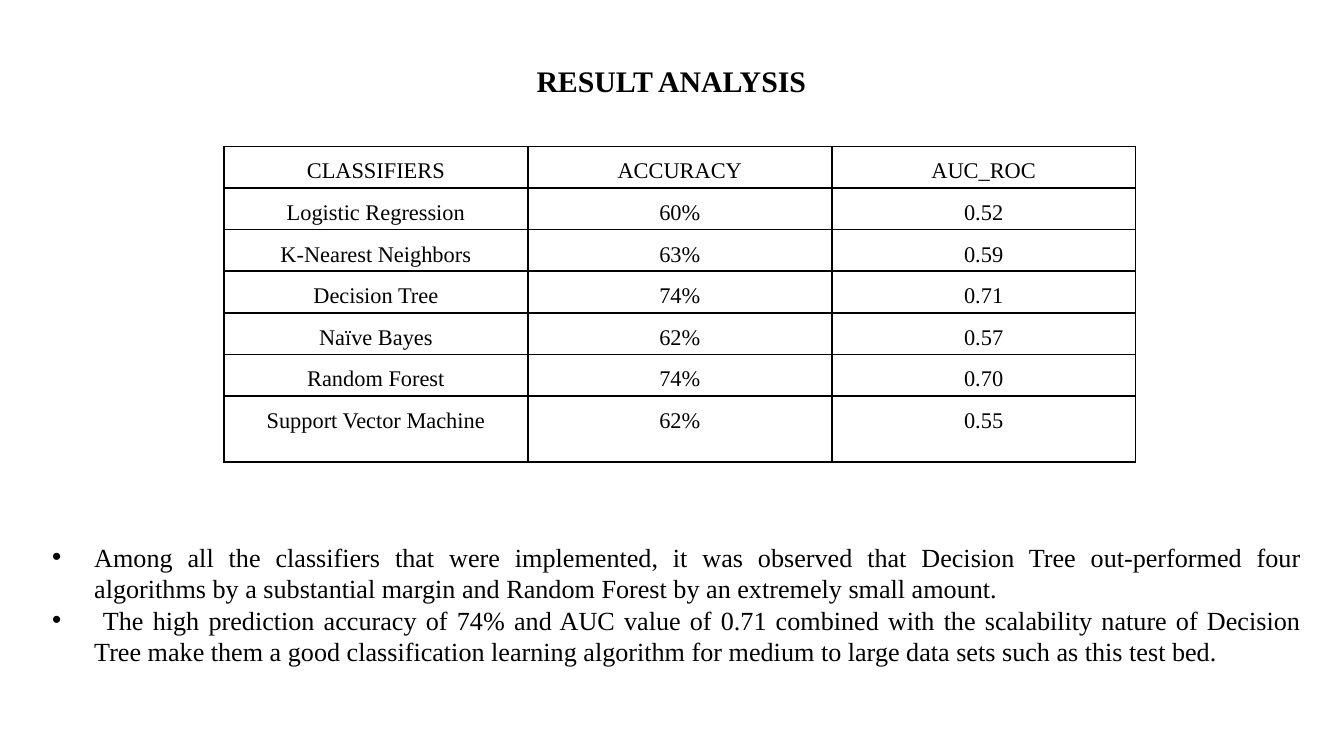
from lxml.etree import SubElement
from pptx import Presentation
from pptx.dml.color import RGBColor
from pptx.enum.text import MSO_ANCHOR, PP_ALIGN
from pptx.oxml.ns import qn
from pptx.util import Pt

FONT = "Times New Roman"
INK = "000000"
ROWS = [
    ("CLASSIFIERS", "ACCURACY", "AUC_ROC"),
    ("Logistic Regression", "60%", "0.52"),
    ("K-Nearest Neighbors", "63%", "0.59"),
    ("Decision Tree", "74%", "0.71"),
    ("Naïve Bayes", "62%", "0.57"),
    ("Random Forest", "74%", "0.70"),
    ("Support Vector Machine", "62%", "0.55"),
]
NOTES = [
    "Among all the classifiers that were implemented, it was observed that "
    "Decision Tree out-performed four algorithms by a substantial margin and "
    "Random Forest by an extremely small amount.",
    " The high prediction accuracy of 74% and AUC value of 0.71 combined with "
    "the scalability nature of Decision Tree make them a good classification "
    "learning algorithm for medium to large data sets such as this test bed.",
]


def color(code):
    return RGBColor.from_string(code)


def style(para, size, align, bold=False):
    para.alignment = align
    for run in para.runs:
        font = run.font
        font.name, font.size, font.bold = FONT, Pt(size), bold
        font.color.rgb = color(INK)


def add_box(slide, left, top, width, height, anchor):
    box = slide.shapes.add_textbox(Pt(left), Pt(top), Pt(width), Pt(height))
    frame = box.text_frame
    frame.word_wrap = True
    frame.vertical_anchor = anchor
    return frame


def add_title(slide, text):
    frame = add_box(slide, 49.7, 21.6, 620, 46, MSO_ANCHOR.MIDDLE)
    frame.text = text
    para = frame.paragraphs[0]
    para.line_spacing = 0.9
    style(para, 16, PP_ALIGN.CENTER, True)


def add_borders(cell):
    props = cell._tc.get_or_add_tcPr()
    for side in ("lnL", "lnR", "lnT", "lnB"):
        line = SubElement(props, qn("a:" + side), w=str(Pt(1)))
        fill = SubElement(line, qn("a:solidFill"))
        SubElement(fill, qn("a:srgbClr"), val=INK)


def fill_cell(cell, text):
    cell.margin_left = cell.margin_right = Pt(5)
    cell.margin_top = cell.margin_bottom = 0
    cell.text = text
    para = cell.text_frame.paragraphs[0]
    para.line_spacing = 1.5
    para.space_after = Pt(8)
    style(para, 12, PP_ALIGN.CENTER)
    add_borders(cell)
    cell.fill.background()


def add_scores(slide, rows):
    frame = slide.shapes.add_table(len(rows), len(rows[0]), Pt(120), Pt(78.5),
                                   Pt(488.4), Pt(169.1))
    table = frame.table
    table.first_row = table.horz_banding = False
    for col in table.columns:
        col.width = Pt(162.8)
    for row, texts in zip(table.rows, rows):
        row.height = Pt(22.3)
        for cell, text in zip(row.cells, texts):
            fill_cell(cell, text)
    table.rows[len(rows) - 1].height = Pt(35.3)


def add_bullet(para):
    props = para._p.get_or_add_pPr()
    props.set("marL", str(Pt(22.5)))
    props.set("indent", str(-Pt(22.5)))
    SubElement(props, qn("a:buFont"), typeface="Arial")
    SubElement(props, qn("a:buChar"), char="•")


def add_notes(slide, notes):
    frame = add_box(slide, 20.9, 252, 684, 108.7, MSO_ANCHOR.BOTTOM)
    frame.text = "\n".join(notes)
    for para in frame.paragraphs:
        style(para, 14, PP_ALIGN.JUSTIFY)
        add_bullet(para)


def main():
    deck = Presentation()
    deck.slide_width, deck.slide_height = Pt(720), Pt(405)
    slide = deck.slides.add_slide(deck.slide_layouts[6])
    add_title(slide, "RESULT ANALYSIS")
    add_scores(slide, ROWS)
    add_notes(slide, NOTES)
    deck.save("out.pptx")


if __name__ == "__main__":
    main()
